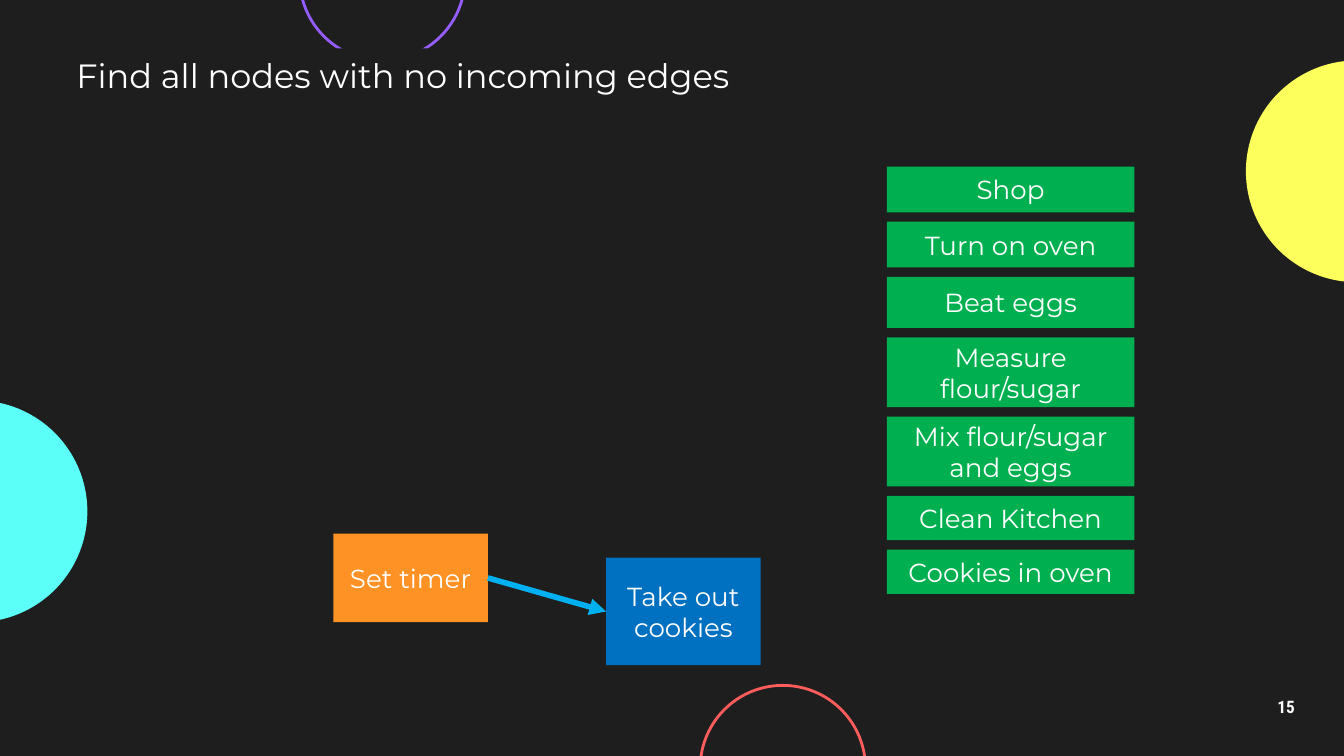
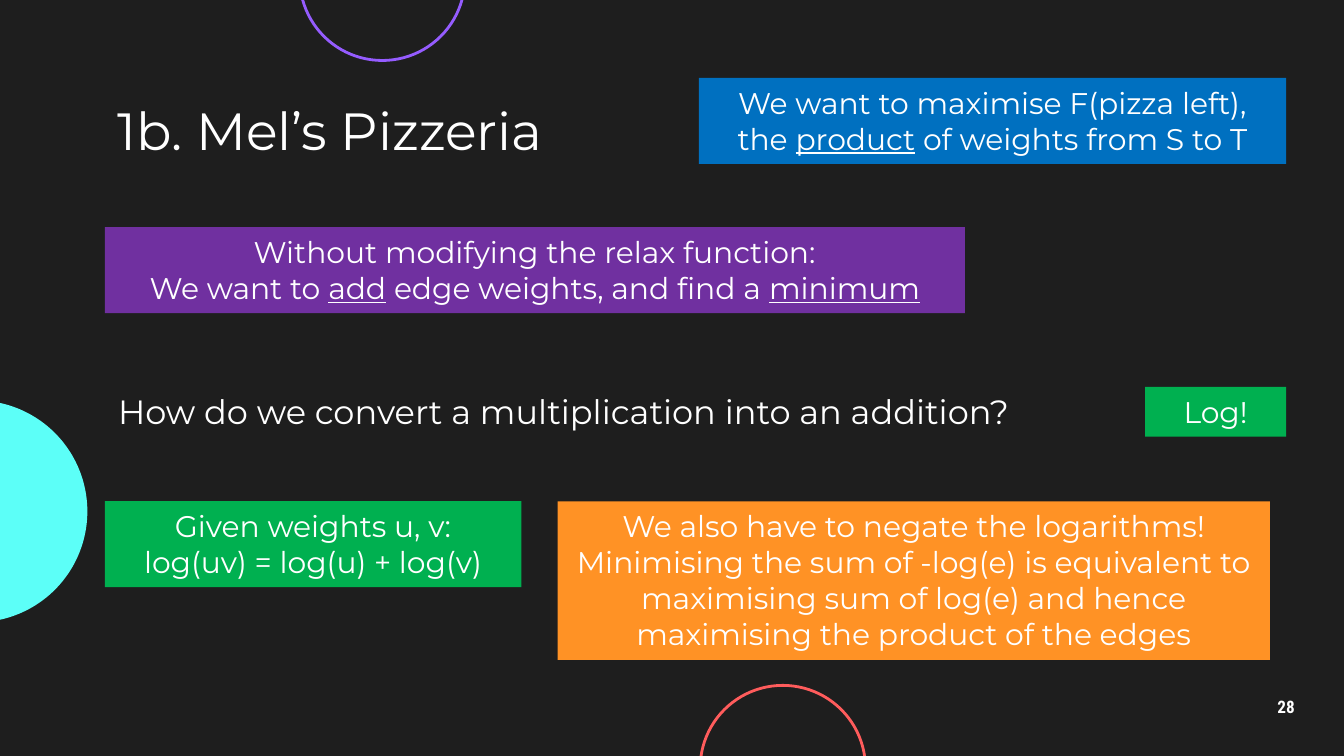
from lxml import etree
from pptx import Presentation
from pptx import util as u
from pptx.dml.color import RGBColor
from pptx.enum import shapes, text
from pptx.oxml import ns

COLORS = {
    "background": "1E1E1E",
    "white": "FFFFFF",
    "cyan": "5CFFF8",
    "yellow": "FDFF5C",
    "violet": "955CFF",
    "red": "FF5C5C",
    "green": "00B050",
    "orange": "FF9225",
    "blue": "0070C0",
    "purple": "7030A0",
    "arrow": "00B0F0",
}
FONT = "Montserrat"
NUMBER_FONT = "Roboto Condensed"
LEFT = 0.78
LEFT_ALIGN = text.PP_ALIGN.LEFT
CENTER = text.PP_ALIGN.CENTER
TOP = text.MSO_ANCHOR.TOP
MIDDLE = text.MSO_ANCHOR.MIDDLE


def color(name):
    return RGBColor.from_string(COLORS[name])


def inches(*lengths):
    return [u.Inches(length) for length in lengths]


def add_runs(paragraph, line):
    for index, part in enumerate(line.split("_")):
        for row, words in enumerate(part.split("\v")):
            if row:
                paragraph.add_line_break()
            if words:
                run = paragraph.add_run()
                run.text = words
                if index % 2:
                    run.font.underline = True


def write(shape, words, size, align=CENTER, anchor=MIDDLE, margin=0.05,
          font=FONT, bold=False, spacing=None):
    frame = shape.text_frame
    frame.word_wrap = True
    frame.vertical_anchor = anchor
    frame.margin_left = frame.margin_right = u.Inches(0.1)
    frame.margin_top = frame.margin_bottom = u.Inches(margin)
    for index, line in enumerate(words.split("\n")):
        paragraph = frame.add_paragraph() if index else frame.paragraphs[0]
        add_runs(paragraph, line)
        paragraph.alignment = align
        paragraph.line_spacing = spacing
        paragraph.font.name = font
        paragraph.font.size = u.Pt(size)
        paragraph.font.bold = bold
        paragraph.font.color.rgb = color("white")


def add_text(slide, box, words, size, **style):
    write(slide.shapes.add_textbox(*inches(*box)), words, size, margin=0.1, **style)


def add_box(slide, box, fill, words, size, **style):
    shape = slide.shapes.add_shape(shapes.MSO_SHAPE.RECTANGLE, *inches(*box))
    shape.shadow.inherit = False
    shape.fill.solid()
    shape.fill.fore_color.rgb = color(fill)
    shape.line.fill.background()
    write(shape, words, size, **style)
    return shape


def add_circle(slide, left, top, diameter, name, filled):
    shape = slide.shapes.add_shape(
        shapes.MSO_SHAPE.OVAL, *inches(left, top, diameter, diameter))
    shape.shadow.inherit = False
    if filled:
        shape.fill.solid()
        shape.fill.fore_color.rgb = color(name)
        shape.line.fill.background()
    else:
        shape.fill.background()
        shape.line.color.rgb = color(name)
        shape.line.width = u.Pt(1.5)


def add_arrow(slide, source, target):
    arrow = slide.shapes.add_connector(shapes.MSO_CONNECTOR.STRAIGHT, 0, 0, 0, 0)
    arrow.begin_connect(source, 3)
    arrow.end_connect(target, 1)
    arrow.line.color.rgb = color("arrow")
    arrow.line.width = u.Pt(3)
    etree.SubElement(arrow.line._get_or_add_ln(), ns.qn("a:tailEnd"), type="triangle")
    etree.SubElement(arrow._element.spPr, ns.qn("a:effectLst"))


def add_slide(presentation, number, yellow_circle):
    slide = presentation.slides.add_slide(presentation.slide_layouts[6])
    slide.background.fill.solid()
    slide.background.fill.fore_color.rgb = color("background")
    add_circle(slide, -1, 2.98, 1.65, "cyan", True)
    if yellow_circle:
        add_circle(slide, 9.27, 0.45, 1.65, "yellow", True)
    add_circle(slide, 2.23, -0.78, 1.23, "violet", False)
    add_circle(slide, 5.21, 5.1, 1.23, "red", False)
    add_text(slide, (9.27, 5.1, 0.6, 0.34), number, 9.2,
             font=NUMBER_FONT, bold=True, spacing=0.9)
    return slide


def add_task_list(slide, left, top, width, gap, tasks):
    for words, height in tasks:
        add_box(slide, (left, top, width, height), "green", words, 14)
        top += height + gap


def build_nodes_slide(presentation):
    slide = add_slide(presentation, "15", yellow_circle=True)
    add_task_list(slide, 6.6, 1.24, 1.84, 0.07, [
        ("Shop", 0.34),
        ("Turn on oven", 0.34),
        ("Beat eggs", 0.38),
        ("Measure flour/sugar", 0.52),
        ("Mix flour/sugar and eggs", 0.52),
        ("Clean Kitchen", 0.33),
        ("Cookies in oven", 0.33),
    ])
    timer = add_box(slide, (2.48, 3.97, 1.15, 0.66), "orange", "Set timer", 14)
    cookies = add_box(slide, (4.51, 4.15, 1.15, 0.8), "blue", "Take out cookies", 14)
    add_arrow(slide, timer, cookies)
    add_box(slide, (0.47, 0.36, 5.26, 0.4), "background",
            "Find all nodes with no incoming edges", 18, align=LEFT_ALIGN, anchor=TOP)


def build_pizzeria_slide(presentation):
    slide = add_slide(presentation, "28", yellow_circle=False)
    add_text(slide, (LEFT, 0.71, 8.44, 0.51), "1b. Mel’s Pizzeria", 28, align=LEFT_ALIGN)
    add_text(slide, (LEFT, 2.81, 7.39, 0.5),
             "How do we convert a multiplication into an addition?", 18,
             align=LEFT_ALIGN, anchor=TOP)
    notes = [
        ((5.2, 0.58, 4.37, 0.64), "blue",
         "We want to maximise F(pizza left),\vthe _product_ of weights from S to T"),
        ((LEFT, 1.69, 6.4, 0.64), "purple",
         "Without modifying the relax function:\n"
         "We want to _add_ edge weights, and find a _minimum_"),
        ((8.52, 2.88, 1.05, 0.37), "green", "Log!"),
        ((LEFT, 3.73, 3.1, 0.64), "green",
         "Given weights u, v:\nlog(uv) = log(u) + log(v)"),
        ((4.15, 3.73, 5.3, 1.18), "orange",
         "We also have to negate the logarithms! Minimising the sum of -log(e) "
         "is equivalent to maximising sum of log(e) and hence maximising "
         "the product of the edges"),
    ]
    for box, fill, words in notes:
        add_box(slide, box, fill, words, 16, anchor=TOP)


def main():
    presentation = Presentation()
    presentation.slide_width = u.Inches(10)
    presentation.slide_height = u.Inches(10 * 9 / 16)
    build_nodes_slide(presentation)
    build_pizzeria_slide(presentation)
    presentation.save("out.pptx")


if __name__ == "__main__":
    main()
